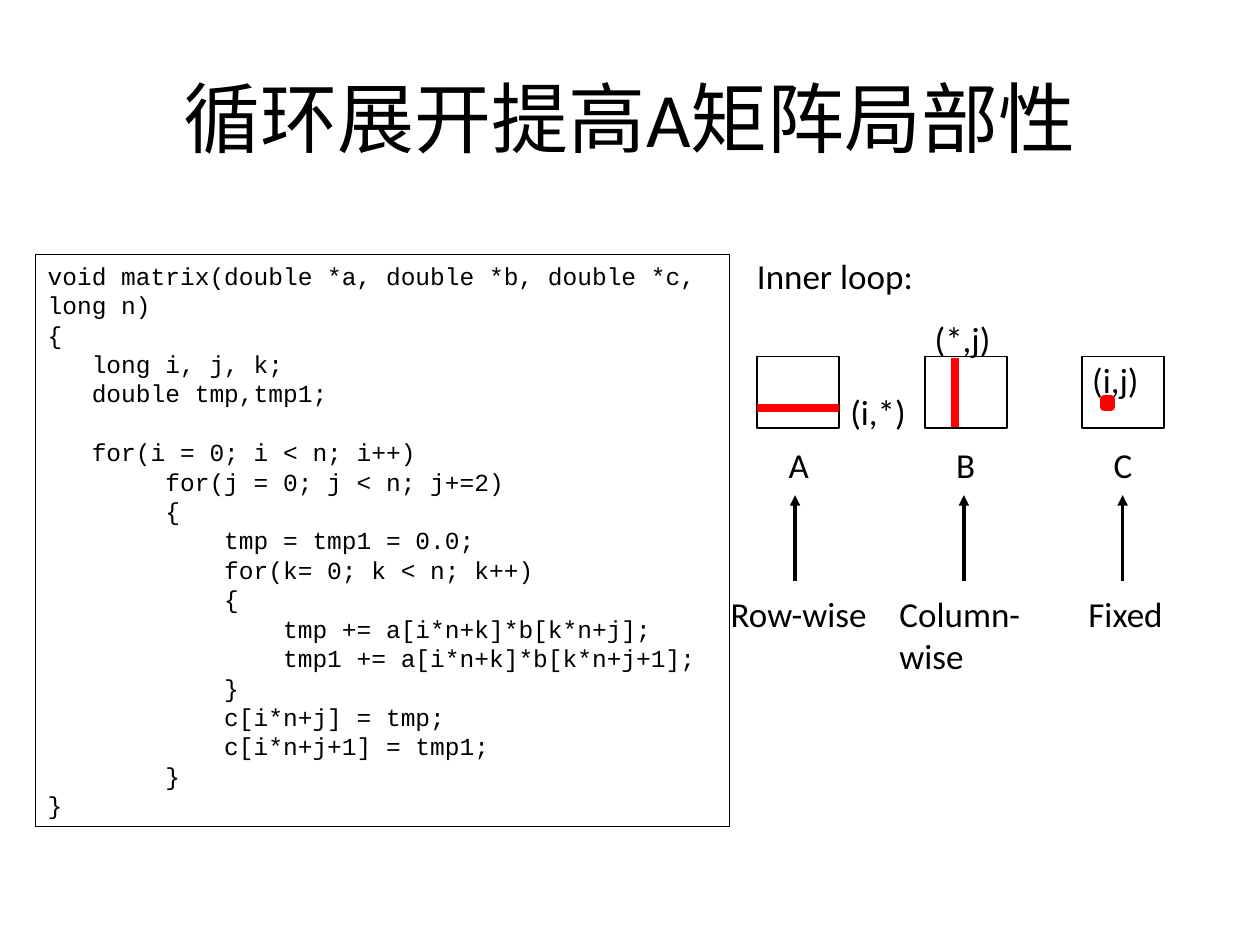
from lxml import etree
from pptx import Presentation
from pptx import util as u
from pptx.dml.color import RGBColor
from pptx.enum import shapes, text
from pptx.oxml import ns

INK = {"black": "000000", "white": "FFFFFF", "red": "FF0000"}
BODY, MONO = "Calibri", "Courier New"
CODE = """void matrix(double *a, double *b, double *c, long n)
{
   long i, j, k;
   double tmp,tmp1;

   for(i = 0; i < n; i++)
        for(j = 0; j < n; j+=2)
        {
            tmp = tmp1 = 0.0;
            for(k= 0; k < n; k++)
            {
                tmp += a[i*n+k]*b[k*n+j];
                tmp1 += a[i*n+k]*b[k*n+j+1];
            }
            c[i*n+j] = tmp;
            c[i*n+j+1] = tmp1;
        }
}"""


def tint(name):
    return RGBColor.from_string(INK[name])


def style(frame, words, size, face, align=text.PP_ALIGN.LEFT):
    frame.text = words
    for para in frame.paragraphs:
        para.alignment = align
        para.font.size = u.Pt(size)
        for run in para.runs:
            run.font.size = u.Pt(size)
            run.font.name = face
            run.font.color.rgb = tint("black")


def label(slide, words, x, y, wide, high=0.43):
    box = slide.shapes.add_textbox(*map(u.Inches, (x, y, wide, high)))
    box.text_frame.word_wrap = False
    style(box.text_frame, words, 20, BODY)


def rect(slide, x, y, wide, high, fill, edge, width):
    box = slide.shapes.add_shape(
        shapes.MSO_SHAPE.RECTANGLE, *map(u.Inches, (x, y, wide, high)))
    box.shadow.inherit = False
    if fill:
        box.fill.solid()
        box.fill.fore_color.rgb = tint(fill)
    else:
        box.fill.background()
    box.line.color.rgb = tint(edge)
    box.line.width = u.Pt(width)
    return box


def line(slide, x1, y1, x2, y2, color, width, arrow=False):
    link = slide.shapes.add_connector(
        shapes.MSO_CONNECTOR.STRAIGHT, *map(u.Inches, (x1, y1, x2, y2)))
    link.line.color.rgb = tint(color)
    link.line.width = u.Pt(width)
    if arrow:
        tip = etree.SubElement(link.line._get_or_add_ln(), ns.qn("a:tailEnd"))
        tip.set("type", "triangle")
    etree.SubElement(link._element.spPr, ns.qn("a:effectLst"))


def title(slide, x, y, wide, high):
    head = slide.shapes.title
    head.left, head.top, head.width, head.height = map(
        u.Inches, (x, y, wide, high))
    head.text_frame.vertical_anchor = text.MSO_ANCHOR.MIDDLE
    style(head.text_frame, "循环展开提高A矩阵局部性", 44, BODY,
          text.PP_ALIGN.CENTER)


def matrix(slide, x, y, name, tip):
    rect(slide, x, y, 0.65, 0.57, "white", "black", 1)
    label(slide, name, x + 0.15, y + 0.64, 0.35)
    line(slide, tip, y + 1.78, tip, y + 1.1, "black", 2, True)


def loop(slide, x, y):
    label(slide, "Inner loop:", x - 0.1, y, 1.44)
    top = y + 0.86
    a, b, c = x, x + 1.33, x + 2.58
    for left, name, shift in ((a, "A", 0.3), (b, "B", 0.31), (c, "C", 0.32)):
        matrix(slide, left, top, name, left + shift)

    line(slide, b + 0.24, top + 0.01, b + 0.24, top + 0.56, "red", 4.5)
    line(slide, a, top + 0.41, a + 0.65, top + 0.41, "red", 4.5)
    rect(slide, c + 0.17, top + 0.34, 0.06, 0.06, "red", "red", 4.5)

    label(slide, "(i,*)", a + 0.64, top + 0.22, 0.64)
    label(slide, "(*,j)", b - 0.02, top - 0.36, 0.64)
    label(slide, "(i,j)", c - 0.02, top - 0.03, 0.57)

    low = top + 1.82
    label(slide, "Row-wise", a - 0.31, low, 1.29)
    label(slide, "Column-\nwise", b - 0.3, low, 1.16, 0.76)
    label(slide, "Fixed", c - 0.05, low, 0.8)


def code(slide, x, y, wide, high):
    box = rect(slide, x, y, wide, high, None, "black", 0.75)
    box.text_frame.word_wrap = True
    box.text_frame.vertical_anchor = text.MSO_ANCHOR.TOP
    style(box.text_frame, CODE, 14, MONO)


def main():
    deck = Presentation()
    deck.slide_width, deck.slide_height = u.Inches(10), u.Inches(7.5)
    slide = deck.slides.add_slide(deck.slide_layouts[5])
    title(slide, 0.5, 0.3, 9, 1.25)
    loop(slide, 6.01, 1.97)
    code(slide, 0.28, 2.02, 5.51, 4.54)
    deck.save("out.pptx")


if __name__ == "__main__":
    main()
